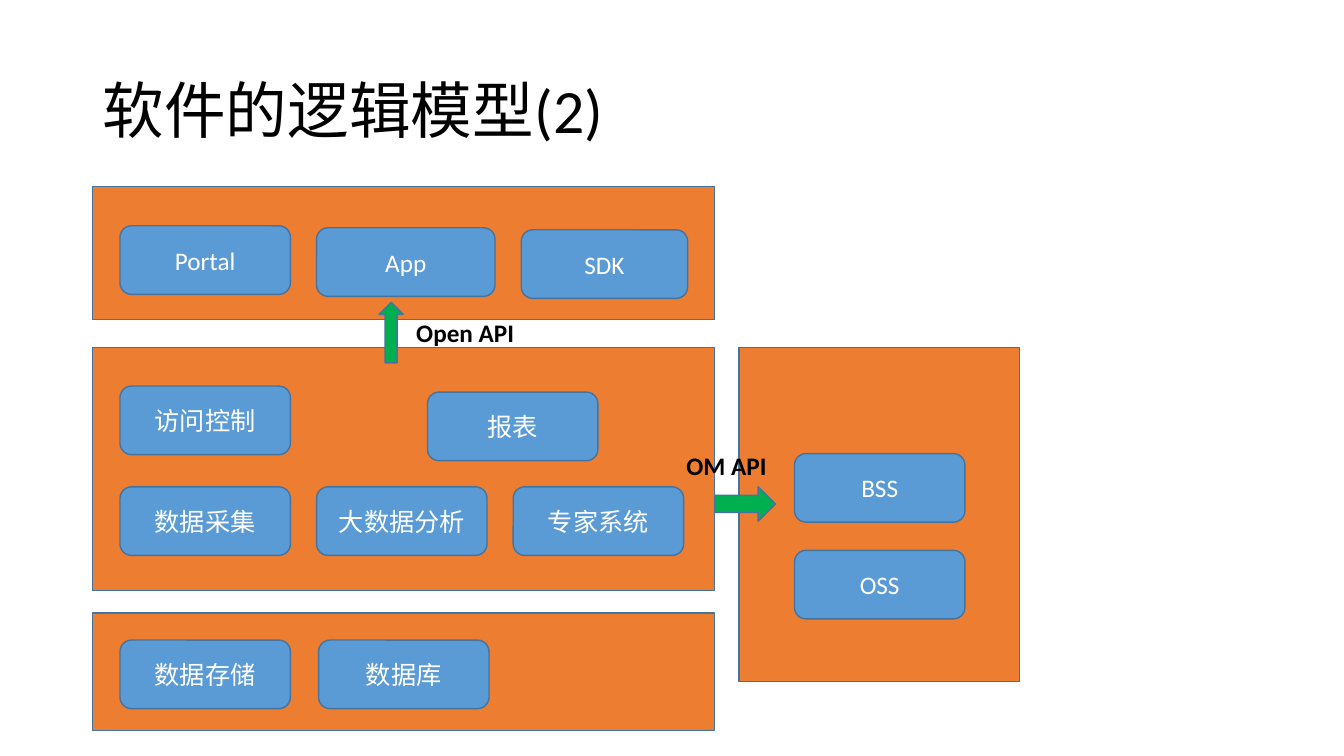
from pptx import Presentation
from pptx import util as u
from pptx.dml import color
from pptx.enum import shapes, text

ORANGE, BLUE, GREEN, OUTLINE = "ED7D31", "5B9BD5", "00B050", "43739E"
MODULE_WIDTH, MODULE_HEIGHT = 1.69, 0.68
PRESETS = shapes.MSO_SHAPE


def rgb(value):
    return color.RGBColor.from_string(value)


def write(shape, words, ink, **formats):
    """Put one run of text into a shape and format it."""
    run = shape.text_frame.paragraphs[0].add_run()
    run.text = words
    run.font.color.rgb = rgb(ink)
    for name, value in {"name": "Calibri", "size": u.Pt(18), **formats}.items():
        setattr(run.font, name, value)


def add_block(slide, preset, box, fill):
    """Add a filled, outlined preset shape."""
    shape = slide.shapes.add_shape(preset, *map(u.Inches, box))
    shape.shadow.inherit = False
    shape.fill.solid()
    shape.fill.fore_color.rgb = rgb(fill)
    shape.line.color.rgb = rgb(OUTLINE)
    shape.line.width = u.Pt(1)
    return shape


def add_title(slide, box, words):
    title = slide.shapes.add_textbox(*map(u.Inches, box))
    title.text_frame.word_wrap = True
    title.text_frame.vertical_anchor = text.MSO_ANCHOR.MIDDLE
    title.text_frame.paragraphs[0].line_spacing = 0.9
    write(title, words, "000000", size=u.Pt(44))


def add_layer(slide, box, modules):
    """Draw a layer with its modules: name, offset in the layer, width if special."""
    add_block(slide, PRESETS.RECTANGLE, box, ORANGE)
    for name, across, down, *width in modules:
        place = (box[0] + across, box[1] + down,
                 width[0] if width else MODULE_WIDTH, MODULE_HEIGHT)
        module = add_block(slide, PRESETS.ROUNDED_RECTANGLE, place, BLUE)
        module.text_frame.vertical_anchor = text.MSO_ANCHOR.MIDDLE
        module.text_frame.paragraphs[0].alignment = text.PP_ALIGN.CENTER
        write(module, name, "FFFFFF")


def add_interface(slide, preset, box, words, label_offset, label_width):
    """Draw an API arrow and its label, placed relative to the arrow."""
    add_block(slide, preset, box, GREEN)
    label_box = (box[0] + label_offset[0], box[1] + label_offset[1], label_width, 0.4)
    label = slide.shapes.add_textbox(*map(u.Inches, label_box))
    label.text_frame.word_wrap = False
    label.text_frame.auto_size = text.MSO_AUTO_SIZE.SHAPE_TO_FIT_TEXT
    write(label, words, "000000", bold=True)


presentation = Presentation()
presentation.slide_width = u.Inches(13.33)
presentation.slide_height = u.Inches(7.5)
slide = presentation.slides.add_slide(presentation.slide_layouts[6])

add_title(slide, (0.92, 0.4, 11.5, 1.45), "软件的逻辑模型(2)")

# Storage, access, operations and service layers
LEFT, WIDTH, INDENT = 0.92, 6.17, 0.27
analysis = [(name, INDENT + 1.95 * column, 1.38)
            for column, name in enumerate(["数据采集", "大数据分析", "专家系统"])]
layers = [
    ((LEFT, 6.08, WIDTH, 1.17),
     [("数据存储", INDENT, 0.27), ("数据库", 2.24, 0.27)]),
    ((LEFT, 1.85, WIDTH, 1.32),
     [("Portal", INDENT, 0.39), ("App", 2.22, 0.41, 1.77), ("SDK", 4.25, 0.43, 1.65)]),
    ((7.33, 3.45, 2.78, 3.31),
     [("BSS", 0.55, 1.05), ("OSS", 0.55, 2.01)]),
    ((LEFT, 3.45, WIDTH, 2.41),
     [("访问控制", INDENT, 0.38), *analysis, ("报表", 3.32, 0.44)]),
]
for box, modules in layers:
    add_layer(slide, box, modules)

# Interfaces between the layers
add_interface(slide, PRESETS.UP_ARROW, (3.76, 3, 0.24, 0.6),
              "Open API", (0.27, 0.1), 1.18)
add_interface(slide, PRESETS.RIGHT_ARROW, (7.09, 4.83, 0.6, 0.34),
              "OM API", (-0.38, -0.41), 1)

presentation.save("out.pptx")
